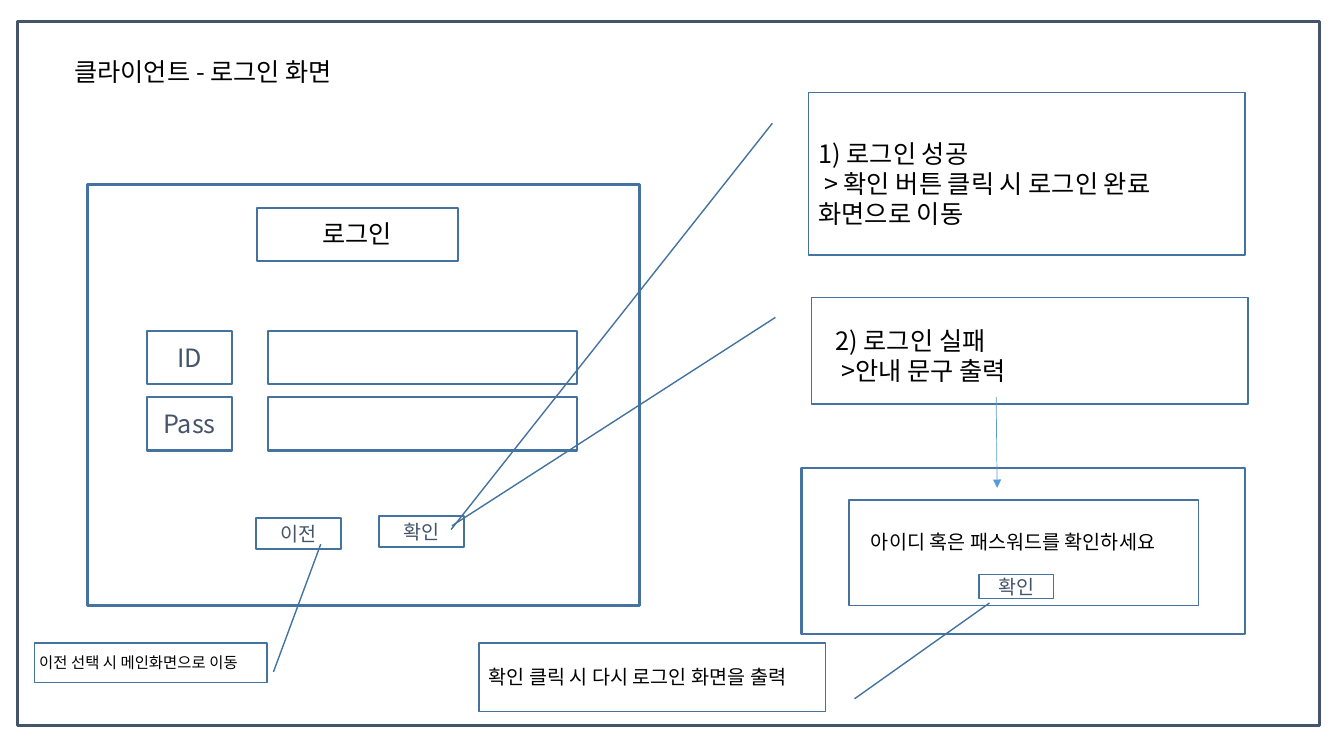
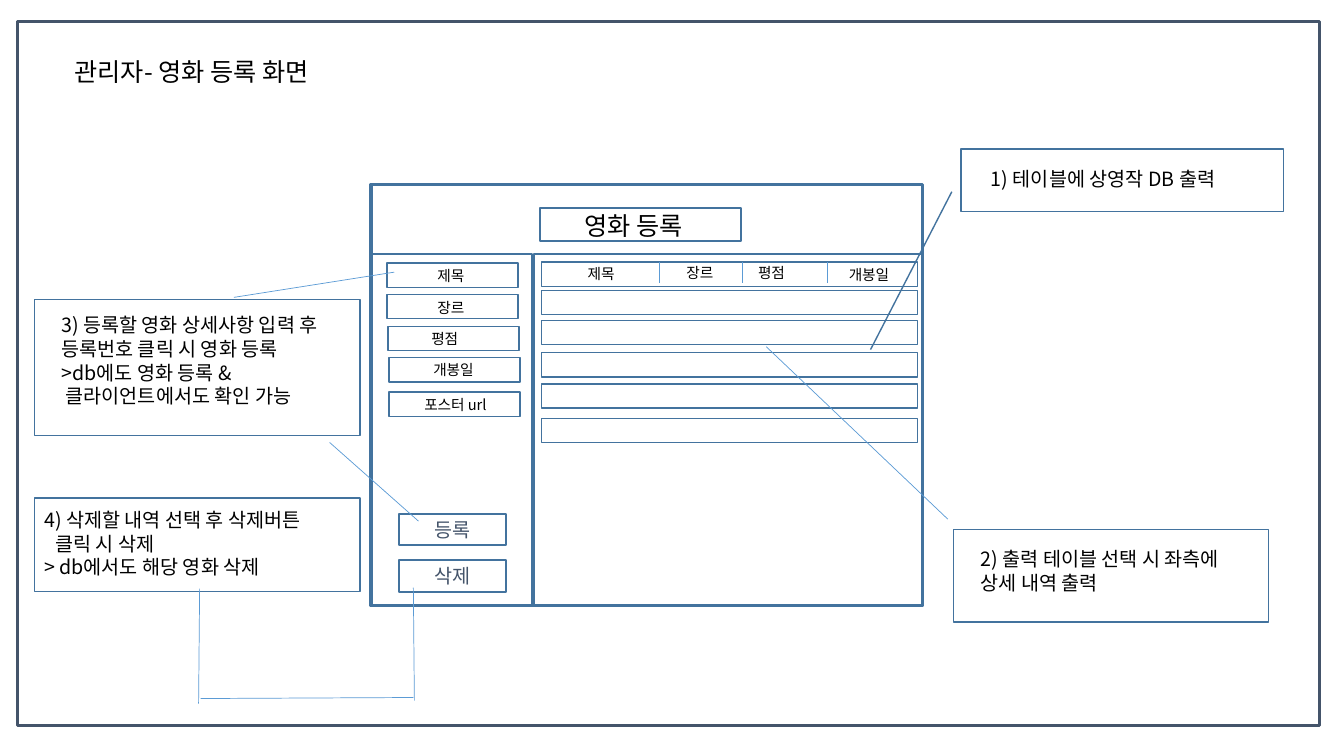
"""Build two annotated screen layouts for a cinema booking program."""
from dataclasses import dataclass

from lxml.etree import SubElement
from pptx import Presentation
from pptx.dml.color import RGBColor
from pptx.enum.shapes import MSO_CONNECTOR as Connector, MSO_SHAPE as Preset
from pptx.enum.text import MSO_ANCHOR as Anchor, MSO_AUTO_SIZE as AutoSize, PP_ALIGN as Align
from pptx.oxml.ns import qn
from pptx.slide import Slide
from pptx.text.text import TextFrame
from pptx.util import Inches, Pt

FONT = "Noto Sans CJK KR"
INK, SLATE, STEEL, SKY = "000000", "44546A", "43739E", "5B9BD5"


@dataclass
class Frame:
    """An outlined box, with an optional centred caption."""
    left: float
    top: float
    width: float
    height: float
    weight: float = 1
    text: str = ""
    size: float = 14
    color: str = STEEL


@dataclass
class Callout:
    """An outlined box with a pointer given as fractions of its size."""
    left: float
    top: float
    width: float
    height: float
    pointer: tuple[float, ...]
    rotation: float = 0


@dataclass
class Label:
    """Free text, one paragraph a line."""
    text: str
    left: float
    top: float
    width: float
    height: float
    size: float = 14
    wrap: bool = True
    indents: tuple[float, ...] = ()


@dataclass
class Line:
    """A thin straight line, with an optional arrowhead at its end."""
    start: tuple[float, float]
    end: tuple[float, float]
    arrow: bool = False


def rgb(color: str) -> RGBColor:
    """Turn a hex string into a colour."""
    return RGBColor.from_string(color)


def write(text_frame: TextFrame, text: str, *, size: float, color: str = INK,
          align: Align = Align.LEFT, indents: tuple[float, ...] = ()) -> None:
    """Fill a text frame with formatted paragraphs."""
    for index, words in enumerate(text.split("\n")):
        para = text_frame.paragraphs[0] if index == 0 else text_frame.add_paragraph()
        para.alignment = align
        if index < len(indents) and indents[index]:
            properties = para._p.get_or_add_pPr()
            properties.set("marL", str(Inches(indents[index])))
            properties.set("indent", "0")
        span = para.add_run()
        span.text = words
        span.font.size = Pt(size)
        span.font.name = FONT
        span.font.color.rgb = rgb(color)
        SubElement(span._r.get_or_add_rPr(), qn("a:ea")).set("typeface", FONT)


def draw_box(page: Slide, item: Frame | Callout) -> None:
    """Draw an outlined box or callout without fill."""
    is_callout = isinstance(item, Callout)
    preset = Preset.LINE_CALLOUT_1 if is_callout else Preset.RECTANGLE
    box = page.shapes.add_shape(preset, Inches(item.left), Inches(item.top),
                                Inches(item.width), Inches(item.height))
    box.shadow.inherit = False
    box.fill.background()
    box.line.color.rgb = rgb(STEEL if is_callout else item.color)
    box.line.width = Pt(1 if is_callout else item.weight)
    if is_callout:
        box.rotation = item.rotation
        for index, fraction in enumerate(item.pointer):
            box.adjustments[index] = fraction
    elif item.text:
        box.text_frame.vertical_anchor = Anchor.MIDDLE
        write(box.text_frame, item.text, size=item.size, color=SLATE, align=Align.CENTER)


def draw_label(page: Slide, item: Label) -> None:
    """Draw a text box."""
    box = page.shapes.add_textbox(Inches(item.left), Inches(item.top),
                                  Inches(item.width), Inches(item.height))
    box.text_frame.word_wrap = item.wrap
    box.text_frame.auto_size = AutoSize.SHAPE_TO_FIT_TEXT
    write(box.text_frame, item.text, size=item.size, indents=item.indents)


def draw_line(page: Slide, item: Line) -> None:
    """Draw a thin connector."""
    connector = page.shapes.add_connector(
        Connector.STRAIGHT, *(Inches(value) for value in (*item.start, *item.end)))
    connector.line.color.rgb = rgb(SKY)
    connector.line.width = Pt(0.5)
    if item.arrow:
        SubElement(connector.line._get_or_add_ln(), qn("a:tailEnd")).set("type", "triangle")
    SubElement(connector._element.spPr, qn("a:effectLst"))


def add_page(deck: Presentation, title: str, items: list[Frame | Callout | Label | Line]) -> None:
    """Add a page with the shared border and title, then its items."""
    page = deck.slides.add_slide(deck.slide_layouts[6])
    border = Frame(0.17, 0.21, 12.92, 6.99, 2, color=SLATE)
    for item in [border, Label(title, 0.64, 0.51, 4.74, 0.4, 18), *items]:
        if isinstance(item, Label):
            draw_label(page, item)
        elif isinstance(item, Line):
            draw_line(page, item)
        else:
            draw_box(page, item)


def login_items() -> list[Frame | Callout | Label | Line]:
    """List the parts of the login page."""
    window = [
        Frame(0.87, 1.83, 5.47, 4.18, 2.25),
        Frame(2.55, 2.06, 1.99, 0.53, 1.5),
        Label("로그인", 3.1, 2.12, 0.96, 0.4, 18, wrap=False),
    ]
    for row, caption in enumerate(("ID", "Pass")):
        top = 3.28 + 0.66 * row
        window += [Frame(1.46, top, 0.84, 0.53, 1.5, caption, 18),
                   Frame(2.66, top, 3.06, 0.53, 1.5)]
    buttons = [Frame(3.76, 5.12, 0.84, 0.31, 1.5, "확인"),
               Frame(2.54, 5.14, 0.84, 0.31, 1.5, "이전")]
    outcomes = [
        Callout(8.02, 0.92, 4.33, 1.61, (0.188, -0.083, 2.692, -0.819)),
        Label("1) 로그인 성공\n > 확인 버튼 클릭 시 로그인 완료 화면으로 이동",
              8.02, 1.32, 4.33, 0.99, 18),
        Callout(8.05, 2.95, 4.33, 1.06, (0.188, -0.083, 2.139, -0.824)),
        Label("2) 로그인 실패\n >안내 문구 출력", 8.19, 3.18, 4.33, 0.71, 18),
    ]
    warning = [
        Frame(7.95, 4.64, 4.4, 1.65, 1.5),
        Frame(8.42, 4.96, 3.47, 1.05),
        Frame(9.71, 5.7, 0.74, 0.24, 1, "확인"),
        Label("아이디 혹은 패스워드를 확인하세요", 8.54, 5.21, 3.35, 0.34, wrap=False),
        Line((9.88, 3.94), (9.89, 4.84), arrow=True),
    ]
    button_notes = [
        Callout(4.75, 6.38, 3.44, 0.68, (0.188, -0.083, 1.585, -0.472), 180),
        Label("확인 클릭 시 다시 로그인 화면을 출력", 4.75, 6.55, 3.59, 0.34),
        Callout(0.34, 6.38, 2.31, 0.39, (0.269, -0.027, 3.515, -0.23), 180),
        Label("이전 선택 시 메인화면으로 이동", 0.29, 6.43, 2.55, 0.29, 11),
    ]
    return window + buttons + outcomes + warning + button_notes


def movie_items() -> list[Frame | Callout | Label | Line]:
    """List the parts of the movie registration page."""
    window = [
        Frame(3.68, 1.83, 5.47, 4.18, 2.25),
        Frame(5.36, 2.06, 1.99, 0.33, 1.5),
        Label("영화 등록", 5.7, 2.04, 1.33, 0.4, 18, wrap=False),
        Frame(3.68, 2.52, 1.6, 3.49, 1.5),
        Frame(5.3, 2.52, 3.85, 3.49, 1.5),
        Frame(3.96, 5.1, 1.06, 0.31, 1.5, "등록"),
        Frame(3.96, 5.56, 1.06, 0.31, 1.5, "삭제"),
    ]
    fields = [("제목", 3.84, 2.61, 4.24, 2.6, 0.5), ("장르", 3.84, 2.92, 4.24, 2.92, 0.5),
              ("평점", 3.85, 3.24, 4.18, 3.22, 0.53), ("개봉일", 3.86, 3.55, 4.2, 3.53, 0.67),
              ("포스터 url", 3.86, 3.89, 4.11, 3.88, 0.9)]
    for caption, left, top, text_left, text_top, width in fields:
        window += [Frame(left, top, 1.3, 0.24),
                   Label(caption, text_left, text_top, width, 0.28, 10.5, wrap=False)]
    window += [Frame(5.37, top, 3.73, 0.24) for top in (2.6, 2.88, 3.18, 3.5, 3.81, 4.15)]
    window += [Line((left, 2.6), (left, 2.81)) for left in (6.54, 7.36, 8.21)]
    headings = [("제목", 5.73, 2.58, 0.5), ("장르", 6.71, 2.57, 0.5),
                ("평점", 7.42, 2.57, 0.53), ("개봉일", 8.32, 2.59, 0.89)]
    window += [Label(caption, left, top, width, 0.28, 10.5, wrap=caption == "개봉일")
               for caption, left, top, width in headings]
    notes = [
        Callout(9.53, 1.48, 3.2, 0.62, (0.681, -0.028, 3.207, -0.28)),
        Label("1) 테이블에 상영작 DB 출력", 9.73, 1.61, 2.71, 0.32),
        Frame(9.46, 5.25, 3.12, 0.92),
        Label("2) 출력 테이블 선택 시 좌측에 상세 내역 출력", 9.63, 5.38, 2.77, 0.56),
        Frame(0.34, 2.97, 3.23, 1.35),
        Label("3) 등록할 영화 상세사항 입력 후 등록번호 클릭 시 영화 등록\n"
              ">db에도 영화 등록 &\n 클라이언트에서도 확인 가능", 0.51, 3.06, 2.87, 1.27),
        Frame(0.34, 4.94, 3.23, 0.93),
        Label("4) 삭제할 내역 선택 후 삭제버튼\n클릭 시 삭제\n> db에서도 해당 영화 삭제",
              0.34, 4.99, 3.66, 0.8, indents=(0, 0.11)),
    ]
    pointers = [
        Line((1.98, 5.84), (1.97, 6.98)),
        Line((1.99, 6.93), (4.1, 6.92)),
        Line((4.1, 5.83), (4.11, 6.95)),
        Line((9.4, 5.15), (7.6, 3.44)),
        Line((4.15, 5.17), (3.27, 4.39)),
        Line((3.91, 2.7), (2.32, 2.95)),
    ]
    return window + notes + pointers


def main() -> None:
    """Build and save the deck."""
    deck = Presentation()
    deck.slide_width, deck.slide_height = Inches(13.33), Inches(7.5)
    add_page(deck, "클라이언트 - 로그인 화면", login_items())
    add_page(deck, "관리자- 영화 등록 화면", movie_items())
    deck.save("out.pptx")


main()
